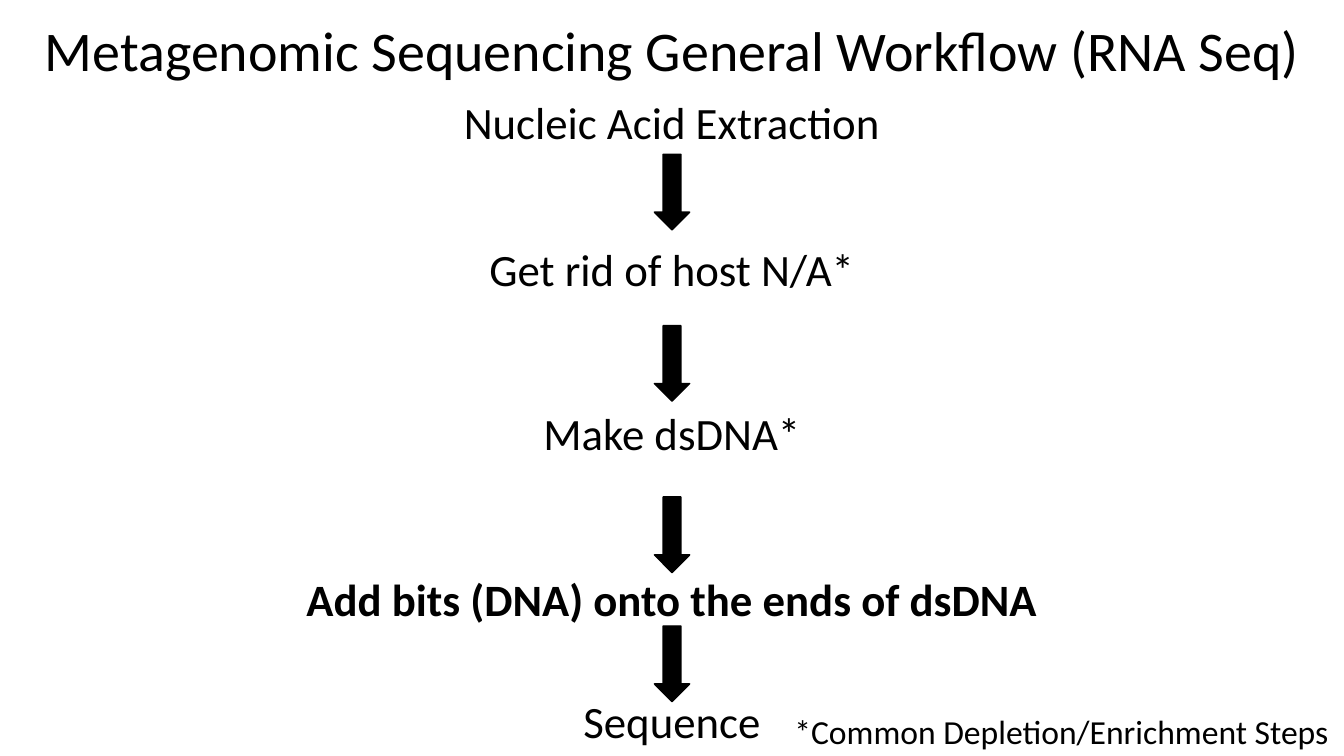
from pptx import Presentation
from pptx.dml.color import RGBColor
from pptx.enum import shapes, text
from pptx.util import Emu, Pt

SCALE = 9144  # EMU per px, 100 px to the inch
PAGE_WIDTH, PAGE_HEIGHT = 1333, 750
BLACK = RGBColor(0, 0, 0)
FONT = "Calibri"
STEP_HEIGHT = 64
ARROW_WIDTH, ARROW_HEIGHT = 35, 75

# wording, top, width, bold
STEPS = [
    ("Nucleic Acid Extraction", 89, 437, False),
    ("Get rid of host N/A*", 235, 394, False),
    ("Make dsDNA*", 398, 284, False),
    ("Add bits (DNA) onto the ends of dsDNA", 562, 819, True),
    ("Sequence", 683, 198, False),
]
ARROW_TOPS = [153, 323, 493, 621]


def px(*lengths):
    return [Emu(round(length * SCALE)) for length in lengths]


def write(box, wording, size, align, bold=False):
    frame = box.text_frame
    frame.text = wording
    para = frame.paragraphs[0]
    para.alignment = align
    font = para.runs[0].font
    font.name, font.size, font.bold = FONT, Pt(size), bold
    font.color.rgb = BLACK
    return para


def add_title(page, left, top, width, height):
    title = page.shapes.title
    title.left, title.top, title.width, title.height = px(left, top, width, height)
    para = write(title, "Metagenomic Sequencing General Workflow (RNA Seq)",
                 40, text.PP_ALIGN.CENTER)
    para.line_spacing = 0.9
    title.text_frame.auto_size = text.MSO_AUTO_SIZE.NONE
    title.text_frame.vertical_anchor = text.MSO_ANCHOR.MIDDLE


def add_label(page, left, top, width, height, wording, size, align, bold=False):
    box = page.shapes.add_textbox(*px(left, top, width, height))
    write(box, wording, size, align, bold)
    box.text_frame.word_wrap = False
    box.text_frame.auto_size = text.MSO_AUTO_SIZE.SHAPE_TO_FIT_TEXT


def add_arrow(page, left, top, width, height):
    arrow = page.shapes.add_shape(shapes.MSO_SHAPE.DOWN_ARROW,
                                  *px(left, top, width, height))
    arrow.shadow.inherit = False
    arrow.fill.solid()
    arrow.fill.fore_color.rgb = BLACK
    arrow.line.color.rgb = BLACK
    arrow.line.width = Pt(1)


def add_workflow(page, left, width):
    """Centre the steps and the arrows between them in one column."""
    middle = left + width / 2
    for wording, top, step_width, bold in STEPS:
        add_label(page, middle - step_width / 2, top, step_width, STEP_HEIGHT,
                  wording, 32, text.PP_ALIGN.CENTER, bold)
    for top in ARROW_TOPS:
        add_arrow(page, middle - ARROW_WIDTH / 2, top, ARROW_WIDTH, ARROW_HEIGHT)


def main():
    deck = Presentation()
    deck.slide_width, deck.slide_height = px(PAGE_WIDTH, PAGE_HEIGHT)
    page = deck.slides.add_slide(deck.slide_layouts.get_by_name("Title Only"))
    add_title(page, 0, -20, PAGE_WIDTH, 145)
    add_workflow(page, 0, PAGE_WIDTH)
    add_label(page, 778, 700, 555, 50, "*Common Depletion/Enrichment Steps",
              24, text.PP_ALIGN.LEFT)
    deck.save("out.pptx")


if __name__ == "__main__":
    main()
